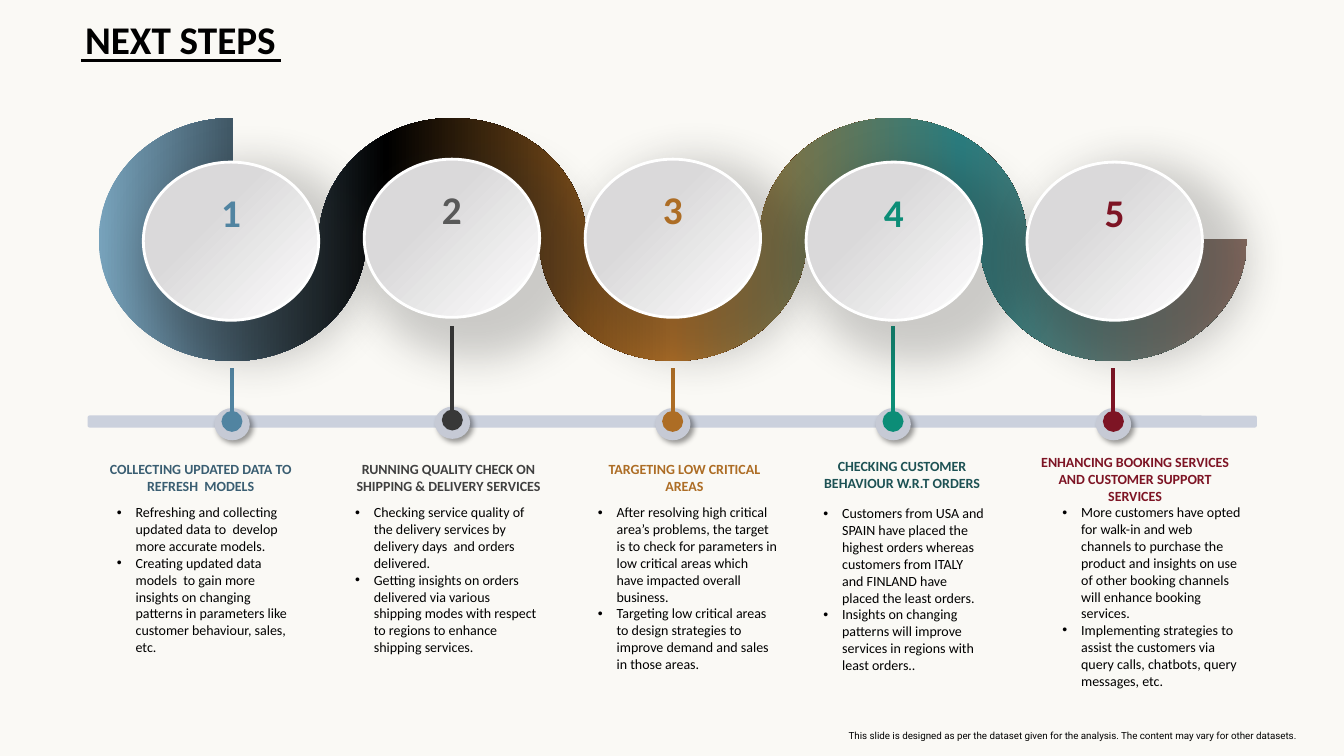
from math import cos, radians, sin

from lxml.etree import SubElement
from pptx import Presentation
from pptx.dml.color import RGBColor
from pptx.enum.shapes import MSO_CONNECTOR, MSO_SHAPE
from pptx.enum.text import MSO_ANCHOR, MSO_AUTO_SIZE, PP_ALIGN
from pptx.oxml.ns import qn
from pptx.util import Pt

BACKGROUND = RGBColor(0xFA, 0xF9, 0xF5)
BLACK = RGBColor(0, 0, 0)
WHITE = RGBColor(0xFF, 0xFF, 0xFF)
BAR = RGBColor(0xCB, 0xD1, 0xDD)
HUB = RGBColor(0xC6, 0xCA, 0xD5)
SILVER = RGBColor(0xDA, 0xD9, 0xDA)
SHADE = RGBColor(0x26, 0x26, 0x26)
BLUE = RGBColor(0x51, 0x84, 0xA1)
NAVY = RGBColor(0x3A, 0x5E, 0x72)
GREY = RGBColor(0x59, 0x59, 0x59)
CHARCOAL = RGBColor(0x40, 0x40, 0x40)
COAL = RGBColor(0x38, 0x38, 0x38)
BRONZE = RGBColor(0xAD, 0x6D, 0x25)
GREEN = RGBColor(0x0C, 0x8D, 0x77)
PINE = RGBColor(0x1D, 0x52, 0x54)
WINE = RGBColor(0x7D, 0x14, 0x24)
SKY = RGBColor(0x77, 0xA2, 0xBB)
TEAL = RGBColor(0x2B, 0x7C, 0x7E)
TAUPE = RGBColor(0x86, 0x6B, 0x60)

deck = Presentation()
deck.slide_width, deck.slide_height = Pt(960), Pt(540)
page = deck.slides.add_slide(deck.slide_layouts[6])
page.background.fill.solid()
page.background.fill.fore_color.rgb = BACKGROUND


def add_text(left, top, width, height, lines, size, color, bold=False,
             align=PP_ALIGN.LEFT, font="Calibri", bullet=False):
    box = page.shapes.add_textbox(Pt(left), Pt(top), Pt(width), Pt(height))
    frame = box.text_frame
    frame.word_wrap = True
    frame.auto_size = MSO_AUTO_SIZE.SHAPE_TO_FIT_TEXT
    for number, line in enumerate(lines):
        para = frame.paragraphs[0] if number == 0 else frame.add_paragraph()
        para.alignment = align
        if bullet:
            properties = para._p.get_or_add_pPr()
            properties.set("marL", str(Pt(13.5)))
            properties.set("indent", str(Pt(-13.5)))
            SubElement(properties, qn("a:buFont"), typeface="Arial")
            SubElement(properties, qn("a:buChar"), char="•")
        span = para.add_run()
        span.text = line
        span.font.name, span.font.size = font, Pt(size)
        span.font.bold, span.font.color.rgb = bold, color
    return frame


def style(shape, stops, angle=0, shadow=None):
    shape.line.fill.background()
    shape.shadow.inherit = False
    if len(stops) == 1:
        shape.fill.solid()
        shape.fill.fore_color.rgb = stops[0][1]
    else:
        shape.fill.gradient()
        shape.fill.gradient_angle = angle
        stop_list = shape._element.spPr.find(".//" + qn("a:gsLst"))
        for old in list(stop_list):
            stop_list.remove(old)
        for position, color in stops:
            stop = SubElement(stop_list, qn("a:gs"), pos=str(position * 1000))
            SubElement(stop, qn("a:srgbClr"), val=str(color))
    if shadow:
        color, opacity, blur, distance, scale = shadow
        effects = shape._element.spPr.find(qn("a:effectLst"))
        outer = SubElement(effects, qn("a:outerShdw"), blurRad=str(Pt(blur)),
                           dist=str(Pt(distance)), dir="2700000", sx=str(scale * 1000),
                           sy=str(scale * 1000), algn="tl", rotWithShape="0")
        tint = SubElement(outer, qn("a:srgbClr"), val=str(color))
        SubElement(tint, qn("a:alpha"), val=str(opacity * 1000))


FIRST, STEP, MIDDLE, BEND = 166, 157.3, 171.1, 0.5523
INNER, OUTER = (61.8, 56.3), (95.5, 86.8)
ARCS = [
    (0, INNER, 270, 0), (1, OUTER, 180, 360), (2, INNER, 180, 0),
    (3, OUTER, 180, 360), (4, INNER, 180, 0), (4, OUTER, 0, 180),
    (3, INNER, 360, 180), (2, OUTER, 0, 180), (1, INNER, 360, 180),
    (0, OUTER, 0, 270),
]
nodes, curves = [], []
for loop, (radius_x, radius_y), start, end in ARCS:
    turn = 90 if end > start else -90
    center_x = FIRST + STEP * loop
    for angle in range(start, end, turn):
        x1, y1 = cos(radians(angle)), sin(radians(angle))
        x2, y2 = cos(radians(angle + turn)), sin(radians(angle + turn))
        quarter = [(x1, y1), (x1 + BEND * x2, y1 + BEND * y2),
                   (x2 + BEND * x1, y2 + BEND * y1), (x2, y2)]
        curve = [(Pt(center_x + radius_x * x), Pt(MIDDLE + radius_y * y)) for x, y in quarter]
        curves.append(curve)
        nodes += [curve[0], curve[3]]
builder = page.shapes.build_freeform(*nodes[0])
builder.add_line_segments(nodes[1:], close=True)
ribbon = builder.convert_to_shape()
track = ribbon._element.spPr.find(".//" + qn("a:pathLst"))[0]
for segment in list(track)[1:]:
    track.remove(segment)
for number, curve in enumerate(curves):
    commands = [("a:cubicBezTo", curve[1:])]
    if number and abs(curve[0][0] - curves[number - 1][3][0]) > Pt(1):
        commands.insert(0, ("a:lnTo", curve[:1]))
    for tag, points in commands:
        command = SubElement(track, qn(tag))
        for x, y in points:
            SubElement(command, qn("a:pt"), x=str(x - ribbon.left), y=str(y - ribbon.top))
SubElement(track, qn("a:close"))
style(ribbon, [(0, SKY), (25, BLACK), (50, BRONZE), (75, TEAL), (100, TAUPE)])

bar = page.shapes.add_shape(MSO_SHAPE.ROUNDED_RECTANGLE, Pt(62.6), Pt(296.8), Pt(835.2), Pt(8.6))
style(bar, [(0, BAR)])

STEPS = [
    (BLUE, BLUE, NAVY, 115.8, 263, 301,
     (70.6, 325.4, 145.4, 31.7), ["COLLECTING UPDATED DATA TO REFRESH  MODELS"],
     (76.3, 356.4, 145.4, 116.6),
     ["Refreshing and collecting updated data to  develop more accurate models.",
      "Creating updated data models  to gain more insights on changing patterns in "
      "parameters like customer behaviour, sales, etc."]),
    (GREY, COAL, CHARCOAL, 113.7, 233, 300,
     (242.6, 325.4, 155.5, 31.7), ["RUNNING QUALITY CHECK ON SHIPPING & DELIVERY SERVICES"],
     (246.5, 356.4, 145.4, 116.6),
     ["Checking service quality of the delivery services by delivery days  and orders delivered.",
      "Getting insights on orders  delivered via various shipping modes with respect "
      "to regions to enhance shipping services."]),
    (BRONZE, BRONZE, BRONZE, 113.7, 263, 301,
     (411.1, 325.4, 155.5, 31.7), ["TARGETING LOW CRITICAL", "AREAS"],
     (419.9, 356.4, 142.6, 128.2),
     ["After resolving high critical area’s problems, the target is to check for parameters "
      "in low critical areas which have impacted overall business.",
      "Targeting low critical areas to design strategies to improve demand and sales "
      "in those areas."]),
    (GREEN, GREEN, PINE, 115.8, 233, 301,
     (566.6, 323.3, 155.5, 31.7), ["CHECKING CUSTOMER BEHAVIOUR W.R.T ORDERS"],
     (581, 357.1, 129.6, 128.2),
     ["Customers from USA and SPAIN have placed the highest orders whereas customers "
      "from ITALY and FINLAND have placed the least orders.",
      "Insights on changing patterns will improve services in regions with least orders.."]),
    (WINE, WINE, WINE, 115.8, 263, 301,
     (733, 320.4, 155.5, 43.9), ["ENHANCING BOOKING SERVICES AND CUSTOMER SUPPORT SERVICES"],
     (751.7, 356.4, 144.7, 140.4),
     ["More customers have opted for walk-in and web channels to purchase the product and "
      "insights on use of other booking channels will enhance booking services.",
      "Implementing strategies to assist the customers via query calls, chatbots, query "
      "messages, etc."]),
]

stems = []
for index, step in enumerate(STEPS):
    center = 165.7 + 157.4 * index
    hub = page.shapes.add_shape(MSO_SHAPE.OVAL, Pt(center - 12.5), Pt(step[5] - 9.5),
                                Pt(25.2), Pt(23))
    style(hub, [(0, HUB)], shadow=(BLACK, 40, 4, 3, 100))
    stems.append((center, step[4], center, step[5], step[1], 3, True))

title_rule = (57.8, 43.2, 200.9, 43.2, BLACK, 2.75, False)
for left, top, right, bottom, color, weight, dotted in stems + [title_rule]:
    line = page.shapes.add_connector(MSO_CONNECTOR.STRAIGHT, Pt(left), Pt(top),
                                     Pt(right), Pt(bottom))
    line.line.color.rgb = color
    line.line.width = Pt(weight)
    if dotted:
        SubElement(line.line._get_or_add_ln(), qn("a:tailEnd"), type="oval", w="lg", len="lg")
    SubElement(line._element.spPr, qn("a:effectLst"))

for index, step in enumerate(STEPS):
    number_color, _, label_color, disc_top, _, _, label_place, label, body_place, body = step
    center = 165 + 157.8 * index
    disc = page.shapes.add_shape(MSO_SHAPE.OVAL, Pt(center - 62.6), Pt(disc_top),
                                 Pt(125.3), Pt(113))
    style(disc, [(36, SILVER), (100, WHITE)], 315, (SHADE, 21, 30, 0, 125))
    disc.line.color.rgb = WHITE
    disc.line.width = Pt(2)
    add_text(center - 21.6, disc_top + 15, 43.2, 41.2, [str(index + 1)], 28,
             number_color, True, PP_ALIGN.CENTER)
    add_text(*label_place, label, 10, label_color, True, PP_ALIGN.CENTER)
    add_text(*body_place, body, 10, BLACK, bullet=True)

add_text(599.1, 517.7, 351.4, 15.8,
         ["This slide is designed as per the dataset given for the analysis. "
          "The content may vary for other datasets."], 7, BLACK, font="Roboto")
title = add_text(60.8, 0, 864, 56.2, ["NEXT STEPS"], 28, BLACK, True)
title.auto_size = MSO_AUTO_SIZE.NONE
title.margin_left = title.margin_right = 0
title.margin_top, title.margin_bottom = Pt(4.4), Pt(5.4)
title.vertical_anchor = MSO_ANCHOR.MIDDLE

deck.save("out.pptx")
